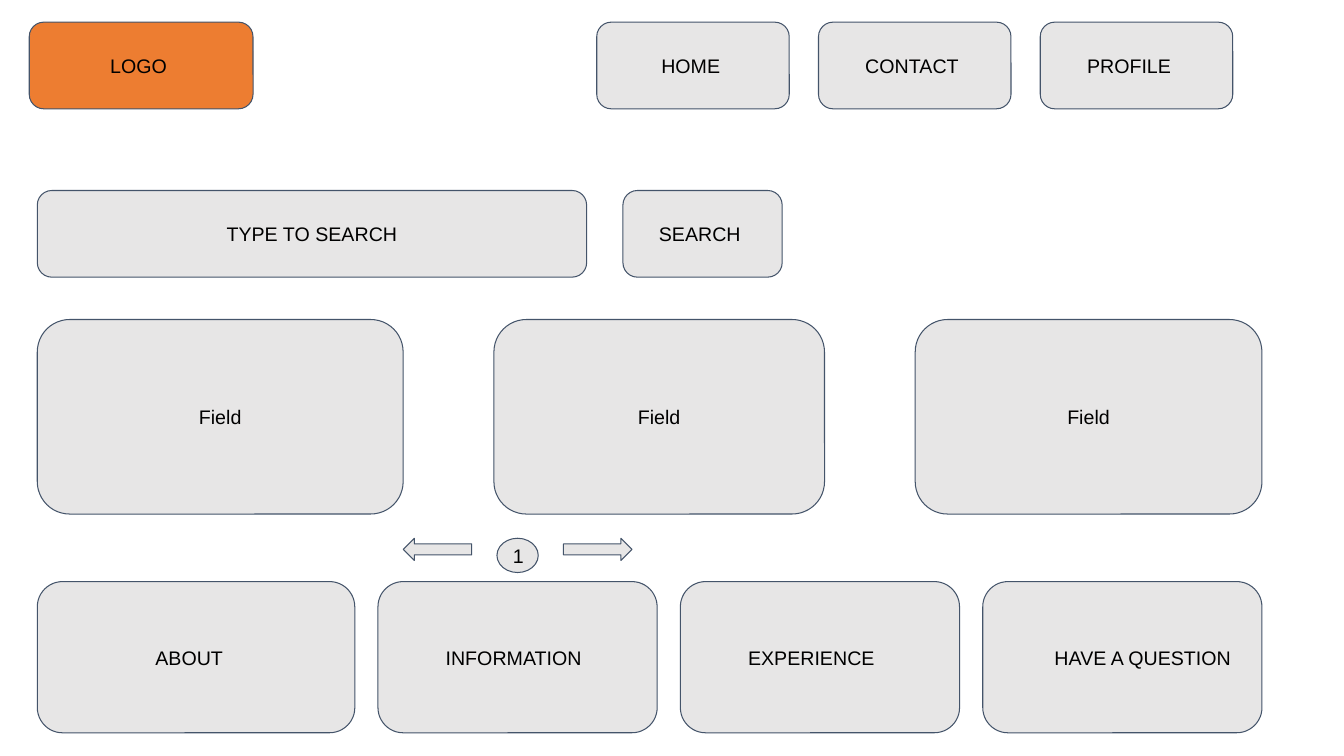
from pptx import Presentation
from pptx.dml.color import RGBColor
from pptx.enum.shapes import MSO_SHAPE as Shape
from pptx.enum.text import MSO_ANCHOR as Anchor, PP_ALIGN as Align
from pptx.util import Pt

ORANGE = RGBColor(0xED, 0x7D, 0x31)
GREY = RGBColor(0xE7, 0xE6, 0xE6)
SLATE = RGBColor(0x44, 0x54, 0x6A)
BLACK = RGBColor(0, 0, 0)

MARGIN = 26.64
LOGO = ("LOGO", 20.88, 159.84, 47.7)
MENU = [("HOME", 36), ("CONTACT", 23.3), ("PROFILE", 23.3)]
SEARCH_BOX = ("TYPE TO SEARCH", MARGIN, 392.4)
SEARCH_BUTTON = ("SEARCH", 444.96, 113.76, 15.6)
FIELDS = [("Field", MARGIN, 261.36), ("Field", 352.8, 236.16), ("Field", 653.76, 247.68)]
ARROWS = [(Shape.RIGHT_ARROW, 402.48), (Shape.LEFT_ARROW, 288)]
ABOUT = ("ABOUT", MARGIN, 226.8, 72)
FOOTER = [("INFORMATION", 36), ("EXPERIENCE", 36), ("HAVE A QUESTION", 38.9)]

MENU_LEFT, MENU_WIDTH, MENU_STEP = 426.24, 137.52, 158.4
FOOTER_LEFT, FOOTER_WIDTH, FOOTER_STEP = 270, 199.44, 216
HEADER_TOP, SEARCH_TOP, BAR_HEIGHT = 15.84, 136.08, 61.92
FIELD_TOP, FIELD_HEIGHT = 228.24, 138.96
PAGER_TOP = 384.48
FOOTER_TOP, FOOTER_HEIGHT = 415.44, 108

presentation = Presentation()
presentation.slide_width = Pt(960)
presentation.slide_height = Pt(540)
slide = presentation.slides.add_slide(presentation.slide_layouts[6])


def add_box(text, left, top, width, height, kind=Shape.ROUNDED_RECTANGLE,
            fill=GREY, indent=0, align=Align.LEFT):
    shape = slide.shapes.add_shape(kind, Pt(left), Pt(top), Pt(width), Pt(height))
    shape.shadow.inherit = False
    shape.fill.solid()
    shape.fill.fore_color.rgb = fill
    shape.line.color.rgb = SLATE
    shape.line.width = Pt(0.75)
    if not text:
        return
    frame = shape.text_frame
    frame.word_wrap = True
    frame.vertical_anchor = Anchor.MIDDLE
    frame.margin_left = frame.margin_right = Pt(7.2)
    frame.margin_top = frame.margin_bottom = Pt(7.2)
    paragraph = frame.paragraphs[0]
    paragraph.alignment = align
    if indent:
        paragraph._p.get_or_add_pPr().set("marL", str(Pt(indent)))
    run = paragraph.add_run()
    run.text = text
    run.font.name = "Arial"
    run.font.size = Pt(14)
    run.font.color.rgb = BLACK


text, left, width, indent = LOGO
add_box(text, left, HEADER_TOP, width, BAR_HEIGHT, fill=ORANGE, indent=indent)
for index, (text, indent) in enumerate(MENU):
    add_box(text, MENU_LEFT + index * MENU_STEP, HEADER_TOP, MENU_WIDTH, BAR_HEIGHT, indent=indent)

text, left, width = SEARCH_BOX
add_box(text, left, SEARCH_TOP, width, BAR_HEIGHT, align=Align.CENTER)
text, left, width, indent = SEARCH_BUTTON
add_box(text, left, SEARCH_TOP, width, BAR_HEIGHT, indent=indent)

for kind, left in ARROWS:
    add_box("", left, PAGER_TOP, 48.96, 15.84, kind=kind)
add_box("1", 354.96, PAGER_TOP, 29.52, 24.48, kind=Shape.OVAL)

text, left, width, indent = ABOUT
add_box(text, left, FOOTER_TOP, width, FOOTER_HEIGHT, indent=indent)
for index, (text, indent) in enumerate(FOOTER):
    add_box(text, FOOTER_LEFT + index * FOOTER_STEP, FOOTER_TOP, FOOTER_WIDTH, FOOTER_HEIGHT,
            indent=indent)

for text, left, width in FIELDS:
    add_box(text, left, FIELD_TOP, width, FIELD_HEIGHT, align=Align.CENTER)

presentation.save("out.pptx")
